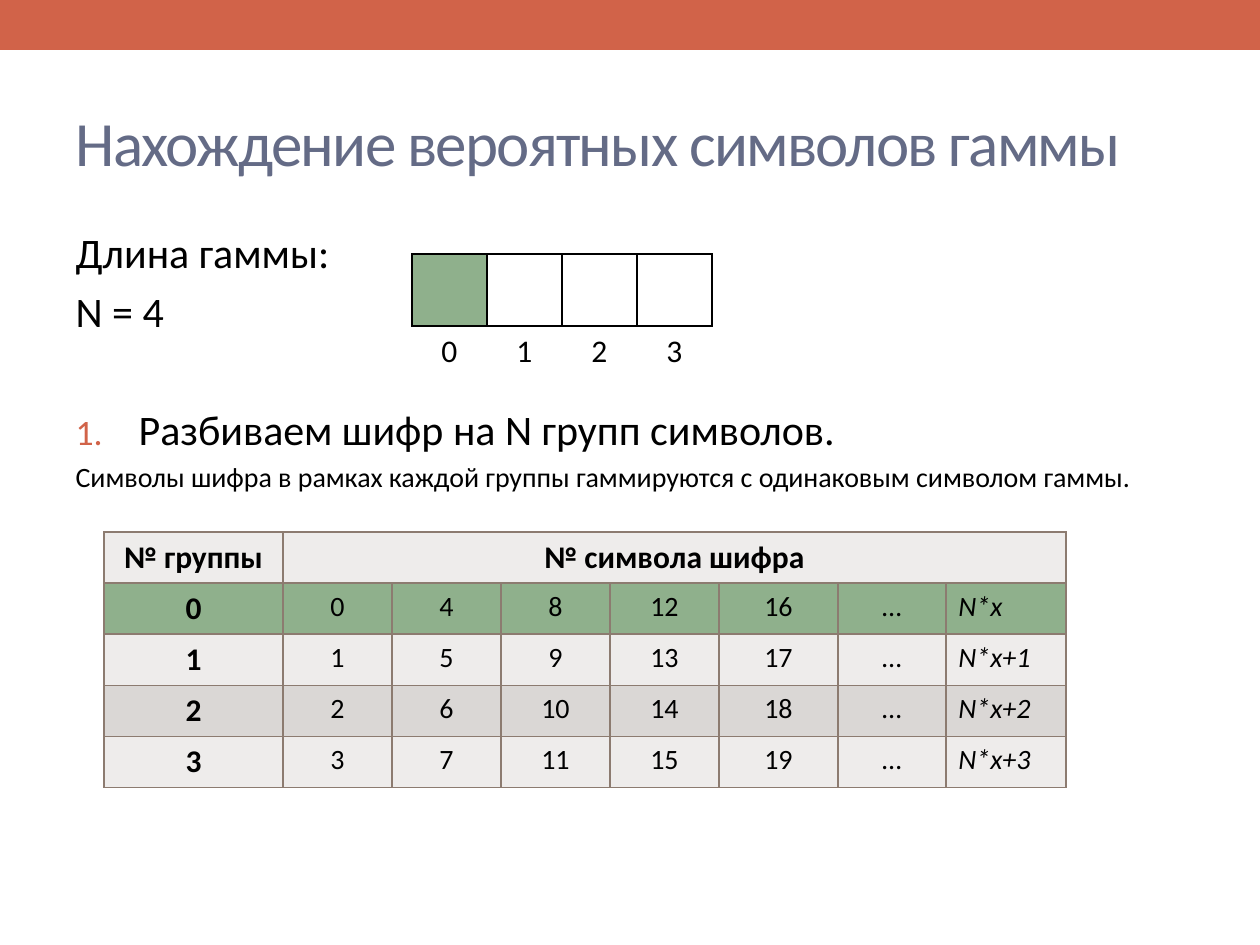
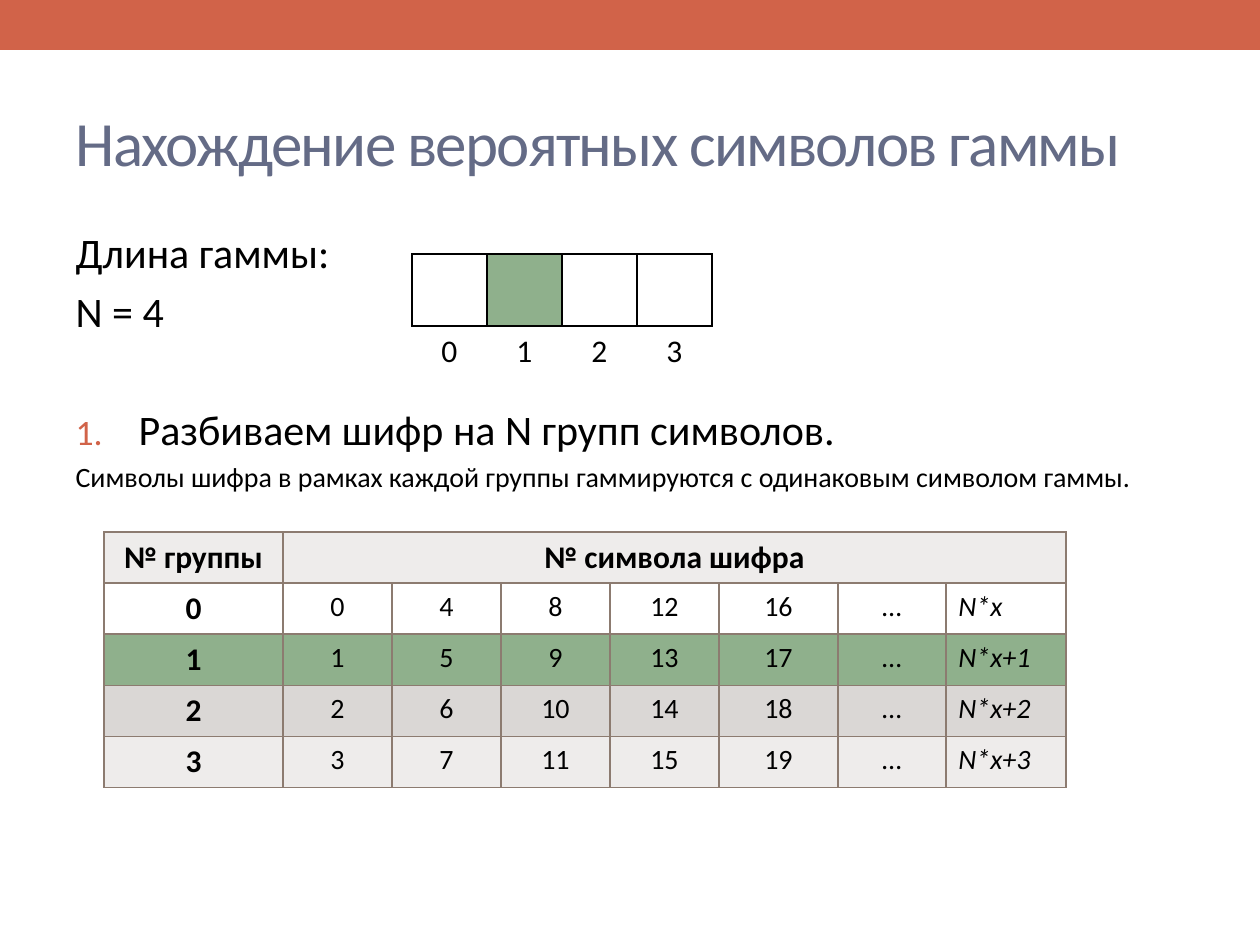
import pptx
import pptx.dml.color
import pptx.enum.shapes
import pptx.enum.text
import pptx.oxml
import pptx.oxml.ns
import pptx.util

EMU_PER_PX = 914400 / 126
FONT = "Calibri"
BLACK = "000000"
ACCENT = "D16349"
TITLE_COLOUR = "646B86"
HIGHLIGHT = "8FB08C"
GRID_LINE = "8C7B70"
LIGHT = "EEECEB"
DARK = "DAD7D5"

GAMMA_LENGTH = 4
SYMBOLS_SHOWN = 5
GROUP_FILLS = [None, LIGHT, DARK, LIGHT]
GROUP_COLUMNS = [179, 109, 109, 109, 109, 119, 108, 120]
ALL_SIDES = "LRTB"
CENTER = pptx.enum.text.PP_ALIGN.CENTER
LEFT = pptx.enum.text.PP_ALIGN.LEFT
MIDDLE = pptx.enum.text.MSO_ANCHOR.MIDDLE
TOP = pptx.enum.text.MSO_ANCHOR.TOP


def px(length):
    return pptx.util.Emu(round(length * EMU_PER_PX))


def rgb(colour):
    return pptx.dml.color.RGBColor.from_string(colour)


def xml(markup):
    """Parse one DrawingML element; its root carries the {ns} mark."""
    return pptx.oxml.parse_xml(markup.format(ns=pptx.oxml.ns.nsdecls("a")))


def format_font(paragraph, size, colour=BLACK, bold=False, italic=False):
    font = paragraph.font
    font.name = FONT
    font.size = pptx.util.Pt(size)
    font.color.rgb = rgb(colour)
    font.bold = bold
    font.italic = italic


def place(shape, left, top, width, height):
    shape.left, shape.top = px(left), px(top)
    shape.width, shape.height = px(width), px(height)


def add_band(slide):
    band = slide.shapes.add_shape(
        pptx.enum.shapes.MSO_SHAPE.RECTANGLE, 0, 0, px(1260), px(50))
    band.shadow.inherit = False
    band.fill.solid()
    band.fill.fore_color.rgb = rgb(ACCENT)
    band.line.fill.background()


def set_title(slide, text):
    title = slide.shapes.title
    place(title, 63, 73, 1134, 136)
    frame = title.text_frame
    frame.auto_size = pptx.enum.text.MSO_AUTO_SIZE.NONE
    frame.vertical_anchor = MIDDLE
    frame.text = text
    heading = frame.paragraphs[0]
    heading.alignment = LEFT
    format_font(heading, 36, TITLE_COLOUR)
    heading.runs[0]._r.get_or_add_rPr().set("spc", "-100")


def set_bullet(paragraph, numbered):
    properties = paragraph._p.get_or_add_pPr()
    indent = px(63) if numbered else 0
    properties.set("marL", str(indent))
    properties.set("indent", str(-indent))
    if numbered:
        properties.append(xml(
            f'<a:buClr {{ns}}><a:srgbClr val="{ACCENT}"/></a:buClr>'))
        properties.append(xml('<a:buSzPct {ns} val="85000"/>'))
        properties.append(xml('<a:buFont {ns} typeface="+mj-lt"/>'))
        properties.append(xml('<a:buAutoNum {ns} type="arabicPeriod"/>'))
    else:
        properties.append(xml("<a:buNone {ns}/>"))


def set_body(slide, lines):
    """Fill the body from (text, size, space before, numbered) lines."""
    body = slide.placeholders[1]
    place(body, 63, 220, 1134, 672)
    frame = body.text_frame
    frame.auto_size = pptx.enum.text.MSO_AUTO_SIZE.NONE
    frame.text = "\n".join(line[0] for line in lines)
    for paragraph, (_, size, gap, numbered) in zip(frame.paragraphs, lines):
        set_bullet(paragraph, numbered)
        paragraph.space_before = pptx.util.Pt(gap)
        format_font(paragraph, size)


def add_grid(slide, left, top, columns, rows):
    frame = slide.shapes.add_table(
        len(rows), len(columns), px(left), px(top),
        px(sum(columns)), px(sum(rows)))
    grid = frame.table
    grid.first_row = False
    grid.horz_banding = False
    for column, width in zip(grid.columns, columns):
        column.width = px(width)
    for row, height in zip(grid.rows, rows):
        row.height = px(height)
    return grid


def style_cell(cell, line, fill=None, sides=ALL_SIDES):
    """Draw 1 pt lines on the given sides, hide the others, set the fill."""
    properties = cell._tc.get_or_add_tcPr()
    for side in ALL_SIDES:
        paint = (f'<a:solidFill><a:srgbClr val="{line}"/></a:solidFill>'
                 if side in sides else "<a:noFill/>")
        properties.append(xml(
            f'<a:ln{side} {{ns}} w="12700">{paint}</a:ln{side}>'))
    if fill:
        cell.fill.solid()
        cell.fill.fore_color.rgb = rgb(fill)
    else:
        cell.fill.background()


def write_cell(cell, text, size, align=CENTER, anchor=TOP, **style):
    cell.text = text
    cell.vertical_anchor = anchor
    paragraph = cell.text_frame.paragraphs[0]
    paragraph.alignment = align
    format_font(paragraph, size, **style)


def add_gamma_squares(slide, active):
    squares = add_grid(slide, 412, 254, [75] * GAMMA_LENGTH, [72, 72])
    for index in range(GAMMA_LENGTH):
        style_cell(squares.cell(0, index), BLACK,
                   HIGHLIGHT if index == active else None)
        label = squares.cell(1, index)
        style_cell(label, BLACK, sides="T")
        write_cell(label, str(index), 18)


def add_group_table(slide, active):
    groups = add_grid(slide, 104, 532, GROUP_COLUMNS,
                      [51] * (GAMMA_LENGTH + 1))
    for column in range(len(GROUP_COLUMNS)):
        style_cell(groups.cell(0, column), GRID_LINE, LIGHT)
    groups.cell(0, 1).merge(groups.cell(0, len(GROUP_COLUMNS) - 1))
    for column, heading in enumerate(["№ группы", "№ символа шифра"]):
        write_cell(groups.cell(0, column), heading, 18,
                   anchor=MIDDLE, bold=True)

    for group, group_fill in enumerate(GROUP_FILLS):
        fill = HIGHLIGHT if group == active else group_fill
        symbols = [str(group + GAMMA_LENGTH * step)
                   for step in range(SYMBOLS_SHOWN)]
        formula = f"N*x+{group}" if group else "N*x"
        row = list(groups.rows[group + 1].cells)
        for cell in row:
            style_cell(cell, GRID_LINE, fill)
        write_cell(row[0], str(group), 18, bold=True)
        for cell, symbol in zip(row[1:-1], symbols + ["…"]):
            write_cell(cell, symbol, 16)
        write_cell(row[-1], formula, 16, align=LEFT, italic=True)


def add_group_slide(deck, active):
    slide = deck.slides.add_slide(deck.slide_layouts[1])
    add_band(slide)
    set_title(slide, "Нахождение вероятных символов гаммы")
    set_body(slide, [
        ("Длина гаммы:", 24, 0, False),
        ("N = 4", 24, 4.8, False),
        ("Разбиваем шифр на N групп символов.", 24, 38.8, True),
        ("Символы шифра в рамках каждой группы гаммируются "
         "с одинаковым символом гаммы.", 16, 3.2, False),
    ])
    add_gamma_squares(slide, active)
    add_group_table(slide, active)


def main():
    deck = pptx.Presentation()
    deck.slide_width, deck.slide_height = px(1260), px(945)
    for active in range(2):
        add_group_slide(deck, active)
    deck.save("out.pptx")


if __name__ == "__main__":
    main()
